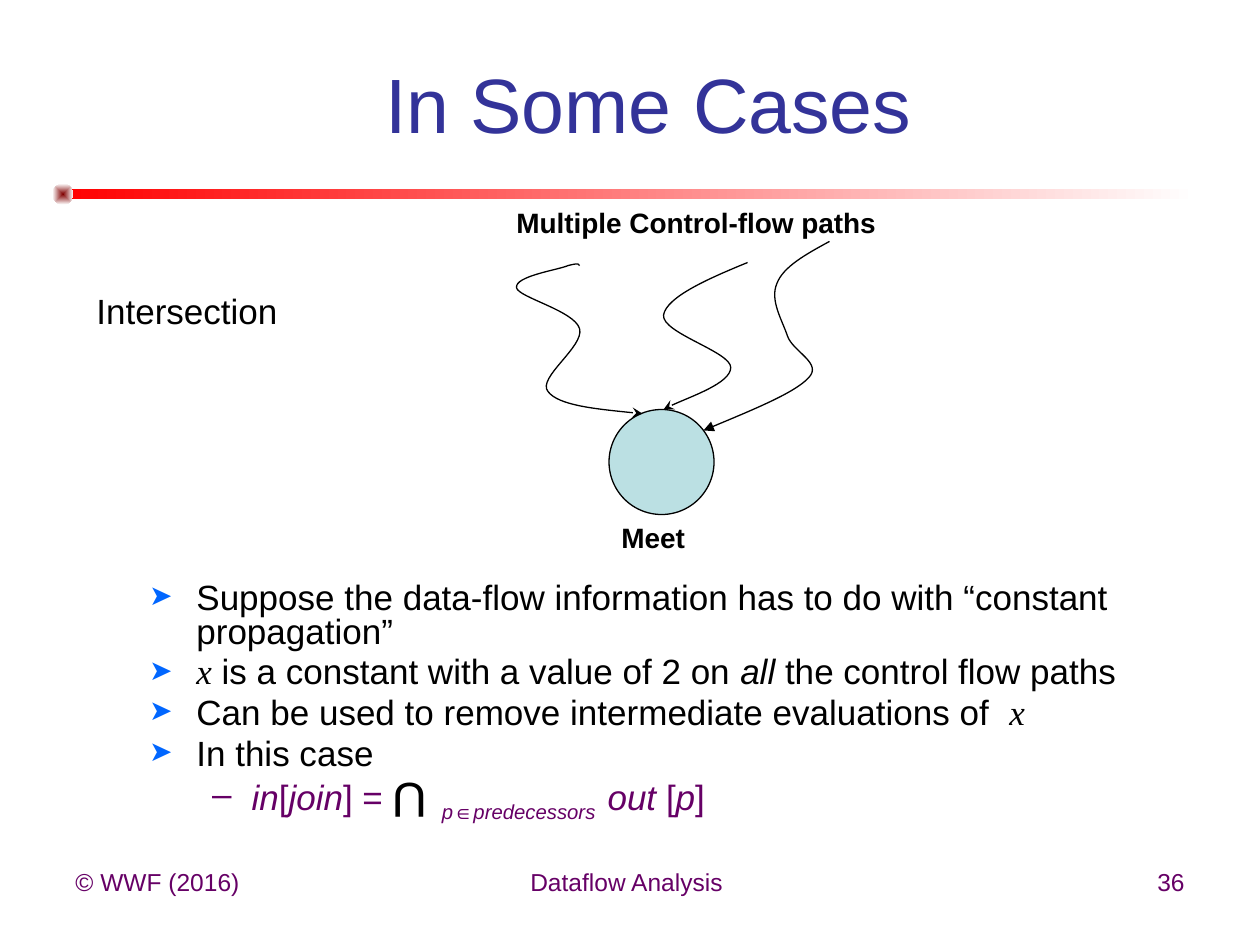
import lxml.etree
import pptx
import pptx.dml.color
import pptx.enum.shapes
import pptx.enum.text
import pptx.oxml.ns
import pptx.util

CELL = pptx.util.Inches(10) // 120
HUES = {"title": "333399", "text": "000000", "foot": "660066", "mark": "0066FF",
        "red": "FF0000", "dark": "800000", "white": "FFFFFF", "node": "BBE0E3"}
SHAPE = pptx.enum.shapes.MSO_SHAPE
ALIGN = pptx.enum.text.PP_ALIGN
FIT = pptx.enum.text.MSO_AUTO_SIZE
MIDDLE = pptx.enum.text.MSO_ANCHOR.MIDDLE


def hue(name):
    """Return a named colour."""
    return pptx.dml.color.RGBColor.from_string(HUES[name])


def area(*box):
    """Turn grid cells into lengths."""
    return [pptx.util.Emu(round(n * CELL)) for n in box]


def add(node, tag, **attrs):
    """Append a drawing element."""
    item = lxml.etree.SubElement(node, pptx.oxml.ns.qn("a:" + tag))
    for key, val in attrs.items():
        item.set(key, str(val))
    return item


def write(para, text, size=20, color="text", font="Arial", bold=False,
          italic=False, base=0, gap=0):
    """Add one formatted run."""
    run = para.add_run()
    run.text = text
    run.font.size = pptx.util.Pt(size)
    run.font.name = font
    run.font.bold = bold
    run.font.italic = italic
    run.font.color.rgb = hue(color)
    props = run.font._element
    if base:
        props.set("baseline", str(base * 1000))
    if gap:
        props.set("spc", str(round(gap * 100)))


def label(slide, box, text, align=ALIGN.LEFT, wrap=True, **form):
    """Place a text box on the grid."""
    shape = slide.shapes.add_textbox(*area(*box))
    shape.text_frame.word_wrap = wrap
    para = shape.text_frame.paragraphs[0]
    para.alignment = align
    write(para, text, **form)
    return shape


def place(shape, box):
    """Move a placeholder and return its text frame."""
    shape.left, shape.top, shape.width, shape.height = area(*box)
    frame = shape.text_frame
    frame.word_wrap = True
    frame.auto_size = FIT.NONE
    return frame


def blend(shape, first):
    """Fill a bare shape with a fade to white."""
    shape.shadow.inherit = False
    shape.line.fill.background()
    shape.fill.gradient()
    shape.fill.gradient_angle = 0
    for stop, name in zip(shape.fill.gradient_stops, (first, "white")):
        stop.color.rgb = hue(name)


def ink(shape):
    """Give a shape a thin dark line and no shadow."""
    shape.shadow.inherit = False
    shape.line.color.rgb = hue("text")
    shape.line.width = pptx.util.Pt(0.75)


def header(slide, box):
    """Build the title and the rule below it."""
    x, y, w, h = box
    bar = slide.shapes.add_shape(SHAPE.RECTANGLE, *area(x, y + h - 1, w, 1))
    blend(bar, "red")
    dot = slide.shapes.add_shape(SHAPE.OVAL, *area(x - 1, y + h - 1.5, 2, 2))
    blend(dot, "dark")
    grad = dot._element.spPr.find(pptx.oxml.ns.qn("a:gradFill"))
    grad.remove(grad.find(pptx.oxml.ns.qn("a:lin")))
    add(add(grad, "path", path="shape"), "fillToRect", l=50000, t=50000, r=50000, b=50000)
    frame = place(slide.shapes.title, (x + 8, y + 0.6, w - 10.4, 6.4))
    frame.vertical_anchor = MIDDLE
    para = frame.paragraphs[0]
    para.alignment = ALIGN.CENTER
    write(para, "In Some Cases ", size=44, color="title")


def curve(slide, box, points, head):
    """Draw a chain of cubic curves that ends in an arrowhead."""
    spots = [area(box[0] + x, box[1] + y) for x, y in points]
    form = slide.shapes.build_freeform(*spots[0])
    form.add_line_segments(spots[1:], close=False)
    shape = form.convert_to_shape()
    steps = list(shape._element.spPr.iter(pptx.oxml.ns.qn("a:lnTo")))
    for i in range(0, len(steps), 3):
        bend = add(steps[i].getparent(), "cubicBezTo")
        for step in steps[i:i + 3]:
            bend.append(step[0])
            step.getparent().remove(step)
    ink(shape)
    shape.fill.background()
    add(shape.line._get_or_add_ln(), "tailEnd", type=head)


def flow(slide, box):
    """Build the paths that run into the meet node."""
    x, y, w, h = box
    node = slide.shapes.add_shape(SHAPE.OVAL, *area(x + 10, y + 20, 10, 10))
    ink(node)
    node.fill.solid()
    node.fill.fore_color.rgb = hue("node")
    left = [(7.2, 6.3), (7.2, 6.2), (7.2, 6), (6.1, 6.3), (5.2, 6.7), (1, 7.3), (1.2, 8.4),
            (1.3, 9.3), (6.7, 10.6), (7.2, 12.3), (7.7, 14), (3.1, 17), (4.2, 18.3),
            (5.2, 19.6), (9.1, 20), (13.2, 20.4)]
    mid = [(23.2, 6), (19.3, 7.6), (15.5, 9.3), (15.2, 11), (15, 12.7), (21.6, 14.5),
           (21.6, 16), (21.6, 17.5), (16.3, 19.3), (15.2, 20)]
    right = [(31, 4), (28.8, 5.2), (26.6, 6.4), (26, 8), (25.3, 9.6), (26.5, 11.5), (27, 13),
             (27.5, 14.5), (30.4, 15.6), (29, 17), (27.7, 18.4), (23.3, 20.2), (19, 22)]
    for points, head in ((left, "stealth"), (mid, "stealth"), (right, "triangle")):
        curve(slide, box, points, head)
    label(slide, (x + 10, y + h - 4.4, 12, 4.4), "Meet", size=16, bold=True)
    label(slide, (x, y, w, 4.4), "Multiple Control-flow paths", size=16, bold=True)
    label(slide, (x - 40, y + 8, 82, 5.2), "Intersection")


def points(slide, box):
    """Build the list and its formula."""
    var = {"font": "Times New Roman", "italic": True}
    slant = {"italic": True}
    sub = {"base": -25}
    rows = [
        (0, [("Suppose the data-flow information has to do with “constant propagation”", {})]),
        (0, [("x", var), (" is a constant with a value of 2 on ", {}), ("all", slant),
             (" the control flow paths", {})]),
        (0, [("Can be used to remove intermediate evaluations of", {}),
             (" ", {"gap": 5.6}), ("x", var)]),
        (0, [("In this case", {})]),
        (1, [("in", slant), ("[", {}), ("join", slant), ("] =", {}), (" ", {"gap": 28}),
             ("p", slant | sub), ("∈", sub), ("predecessors", slant | sub),
             (" ", slant | sub | {"gap": 3.5}), ("out ", slant), ("[", {}), ("p", slant),
             ("]", {})]),
    ]
    looks = [("➤", 4.5, -4.5, "text"), ("–", 9.75, -3.75, "foot")]
    frame = place(slide.placeholders[1], box)
    for i, (level, runs) in enumerate(rows):
        para = frame.add_paragraph() if i else frame.paragraphs[0]
        mark, edge, hang, color = looks[level]
        para.level = level
        para.line_spacing = 0.8
        para.space_before = pptx.util.Pt(4)
        props = para._p.get_or_add_pPr()
        for key, val in zip(("marL", "indent"), area(edge, hang)):
            props.set(key, str(val))
        if level == 0:
            add(add(props, "buClr"), "srgbClr", val=HUES["mark"])
            add(props, "buSzPct", val=80000)
        add(props, "buChar", char=mark)
        for text, form in runs:
            write(para, text, color=color, **form)
    cap = label(slide, (box[0] + 23, box[1] + 19, 6, 5), "U", align=ALIGN.CENTER,
                wrap=False, size=28)
    cap.rotation = 180
    cap.text_frame.vertical_anchor = MIDDLE


def footer(slide, box):
    """Build the three parts of the footer."""
    x, y, w, h = box
    parts = [(0, 28, "© WWF (2016)", ALIGN.LEFT),
             (35, 38, "Dataflow Analysis ", ALIGN.CENTER),
             (w - 28, 28, "36", ALIGN.RIGHT)]
    for left, width, text, align in parts:
        label(slide, (x + left, y, width, h), text, align=align, size=14, color="foot")


def main():
    """Build and save the slide."""
    deck = pptx.Presentation()
    deck.slide_width, deck.slide_height = area(120, 90)
    slide = deck.slides.add_slide(deck.slide_layouts[1])
    header(slide, (6, 6, 108, 13))
    footer(slide, (6, 82, 108, 6.2))
    flow(slide, (48, 19, 47, 34.4))
    points(slide, (13, 55, 100, 26))
    deck.save("out.pptx")


if __name__ == "__main__":
    main()
